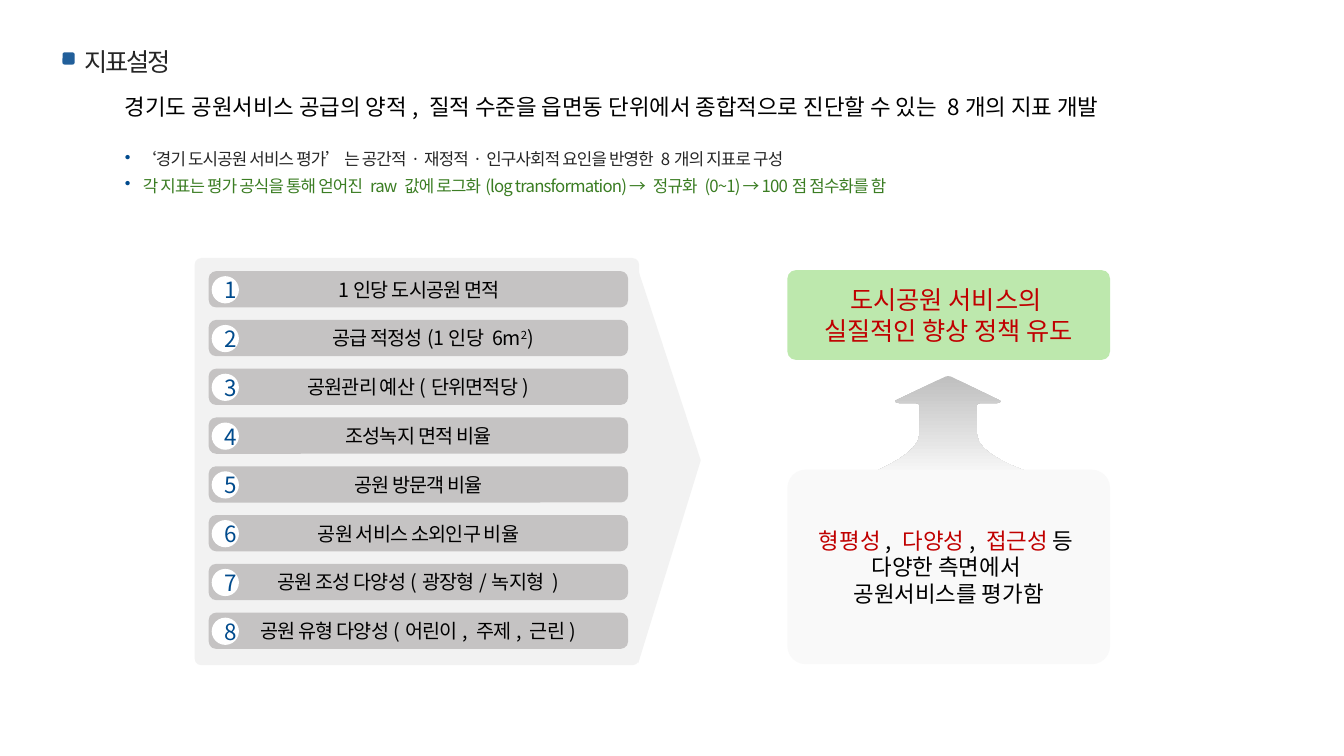
import pptx
import pptx.util
import pptx.dml.color
import pptx.enum.shapes
import pptx.enum.text
import pptx.oxml.ns
from lxml import etree

Inches = pptx.util.Inches
SHAPES = pptx.enum.shapes.MSO_SHAPE
ALIGN = pptx.enum.text.PP_ALIGN
ANCHOR = pptx.enum.text.MSO_ANCHOR
FONT = "Noto Sans CJK KR"
COLORS = {
    "black": "000000", "ink": "262626", "navy": "004A8D", "digit": "004B8D",
    "marker": "215F9A", "panel": "F2F2F2", "row": "C5C3C3", "white": "FFFFFF",
    "arrow": "BFBFBF", "basis": "F9F9F9", "goal": "8ED973",
    "red": "C00000", "green": "3B7D23",
}
INDICATORS = [
    [("1인당 도시공원 면적", {})],
    [("공급 적정성(1인당 6m", {}), ("2", {"baseline": "30000"}), (")", {})],
    [("공원관리 예산(단위면적당)", {})],
    [("조성녹지 면적 비율", {})],
    [("공원 방문객 비율", {})],
    [("공원 서비스 소외인구 비율", {})],
    [("공원 조성 다양성(광장형/녹지형 )", {})],
    [("공원 유형 다양성(어린이, 주제, 근린)", {})],
]
LABEL_SPANS = {0: (2.68, 2.95), 1: (2.51, 3.57)}
ROW_TOP, ROW_PITCH = 2.69, 0.484
ARROW_START = (9.69, 4.31)
ARROW_STEPS = [
    [(9.69, 4.02)],
    [(9.69, 4.01), (9.7, 4), (9.73, 4)],
    [(9.87, 4)],
    [(9.92, 4), (9.94, 3.98), (9.91, 3.97)],
    [(9.44, 3.74)],
    [(9.42, 3.73), (9.39, 3.73), (9.37, 3.74)],
    [(8.89, 3.97)],
    [(8.86, 3.98), (8.89, 4), (8.94, 4)],
    [(9.08, 4)],
    [(9.1, 4), (9.12, 4.01), (9.12, 4.02)],
    [(9.12, 4.31)],
    [(9.12, 4.53), (8.55, 4.73), (8.55, 4.73)],
    [(10.35, 4.73)],
    [(10.35, 4.73), (9.69, 4.55), (9.69, 4.31)],
]


def color(name):
    return pptx.dml.color.RGBColor.from_string(COLORS[name])


def apply(target, values):
    for name, value in values.items():
        setattr(target, name, value)


def place(item, left, top, width, height):
    sides = {"left": left, "top": top, "width": width, "height": height}
    apply(item, {name: Inches(value) for name, value in sides.items()})


def add_bullet(para):
    props = para._p.get_or_add_pPr()
    props.set("marL", str(Inches(0.15)))
    props.set("indent", str(Inches(-0.15)))
    tint = etree.SubElement(props, pptx.oxml.ns.qn("a:buClr"))
    etree.SubElement(tint, pptx.oxml.ns.qn("a:srgbClr"), val=COLORS["navy"])
    etree.SubElement(props, pptx.oxml.ns.qn("a:buChar"), char="•")


def add_span(para, text, size, tint, extras):
    span = para.add_run()
    span.text = text
    apply(span.font, {"size": pptx.util.Pt(size), "name": FONT, "bold": False})
    span.font.color.rgb = color(tint)
    props = span._r.get_or_add_rPr()
    for name, value in extras.items():
        props.set(name, value)
    etree.SubElement(props, pptx.oxml.ns.qn("a:ea"), typeface=FONT)


def write(item, lines, size, tint, align=ALIGN.LEFT, anchor=ANCHOR.TOP,
          spacing=None, tracking=None, bullets=False):
    frame = item.text_frame
    apply(frame, {"word_wrap": True, "vertical_anchor": anchor,
                  "auto_size": pptx.enum.text.MSO_AUTO_SIZE.NONE})
    for number, line in enumerate(lines):
        para = frame.add_paragraph() if number else frame.paragraphs[0]
        apply(para, {"alignment": align, "line_spacing": spacing})
        if bullets:
            add_bullet(para)
        for text, changes in line:
            extras = {"spc": tracking} if tracking else {}
            extras.update(changes)
            add_span(para, text, size, extras.pop("tint", tint), extras)


def add_text(page, bounds, lines, size, tint, **layout):
    box = page.shapes.add_textbox(*map(Inches, bounds))
    write(box, lines, size, tint, **layout)


def add_block(page, kind, bounds, fill, corner=None, turn=0):
    block = page.shapes.add_shape(kind, *map(Inches, bounds))
    block.shadow.inherit = False
    block.fill.solid()
    block.fill.fore_color.rgb = color(fill)
    block.line.fill.background()
    block.rotation = turn
    if corner is not None:
        block.adjustments[0] = corner
    return block


def curve(start, first, second, end, pieces=10):
    for step in range(1, pieces + 1):
        t = step / pieces
        weights = ((1 - t) ** 3, 3 * t * (1 - t) ** 2, 3 * t * t * (1 - t), t ** 3)
        yield tuple(sum(weight * point[axis] for weight, point in
                        zip(weights, (start, first, second, end))) for axis in (0, 1))


def add_arrow(page):
    points = [ARROW_START]
    for step in ARROW_STEPS:
        points.extend(step if len(step) == 1 else list(curve(points[-1], *step)))
    corners = [tuple(map(Inches, point)) for point in points]
    builder = page.shapes.build_freeform(*corners[0], scale=1.0)
    builder.add_line_segments(corners[1:], close=True)
    arrow = builder.convert_to_shape()
    arrow.shadow.inherit = False
    arrow.line.fill.background()
    arrow.fill.gradient()
    arrow.fill.gradient_angle = 270
    for stop, tint in zip(arrow.fill.gradient_stops, ("arrow", "basis")):
        stop.color.rgb = color(tint)


def add_header(page):
    title = page.shapes.title
    place(title, 0.74, 0.26, 1.1, 0.5)
    write(title, [[("지표설정", {})]], 18, "ink", spacing=1.5, tracking="-150")
    add_block(page, SHAPES.ROUNDED_RECTANGLE, (0.62, 0.52, 0.12, 0.12), "marker")
    add_text(page, (1.14, 0.88, 11.09, 0.37), [[(
        "경기도 공원서비스 공급의 양적, 질적 수준을 읍면동 단위에서 종합적으로 진단할 수 있는 8개의 지표 개발",
        {})]], 16, "black")
    add_text(page, (1.14, 1.37, 11.37, 0.6), [
        [("‘경기 도시공원 서비스 평가’ 는 공간적·재정적·인구사회적 요인을 반영한 8개의 지표로 구성", {})],
        [(" 각 지표는 평가 공식을 통해 얻어진 raw 값에 로그화(log transformation) → 정규화 (0~1) → 100점 점수화를 함",
          {"tint": "green"})],
    ], 12, "ink", spacing=1.3, tracking="-60", bullets=True)


def add_indicator(page, index, label):
    top = ROW_TOP + index * ROW_PITCH
    add_block(page, SHAPES.ROUNDED_RECTANGLE, (2.07, top, 4.16, 0.36), "row", 0.205)
    left, width = LABEL_SPANS.get(index, (2.09, 4.12))
    add_text(page, (left, top + 0.01, width, 0.34), [label], 14, "black",
             align=ALIGN.CENTER, anchor=ANCHOR.MIDDLE, tracking="-60")
    badge = add_block(page, SHAPES.OVAL, (2.1, top + 0.05, 0.27, 0.27), "white")
    write(badge, [[(str(index + 1), {})]], 16, "digit",
          align=ALIGN.CENTER, anchor=ANCHOR.MIDDLE)


def add_outcome(page):
    centred = {"align": ALIGN.CENTER, "anchor": ANCHOR.MIDDLE}
    add_arrow(page)
    basis = add_block(page, SHAPES.ROUNDED_RECTANGLE, (7.81, 4.66, 3.2, 1.93), "basis", 0.094)
    red = {"tint": "red"}
    write(basis, [
        [("형평성", red), (", ", {}), ("다양성", red), (", ", {}), ("접근성 ", red), ("등 ", {})],
        [("다양한 측면에서 ", {})],
        [("공원서비스를 평가함", {})],
    ], 16, "black", **centred)
    goal = add_block(page, SHAPES.ROUNDED_RECTANGLE, (7.81, 2.68, 3.2, 0.89), "goal", 0.094)
    tint = goal.fill._xPr.find(".//" + pptx.oxml.ns.qn("a:srgbClr"))
    etree.SubElement(tint, pptx.oxml.ns.qn("a:alpha"), val="58000")
    write(goal, [[("도시공원 서비스의 ", {})], [("실질적인 향상 정책 유도", {})]],
          18, "red", **centred)


def main():
    deck = pptx.Presentation()
    apply(deck, {"slide_width": Inches(13.33), "slide_height": Inches(7.5)})
    page = deck.slides.add_slide(deck.slide_layouts[5])
    add_header(page)
    add_block(page, SHAPES.ROUNDED_RECTANGLE, (1.93, 2.56, 4.41, 4.04), "panel", 0.017)
    for index, label in enumerate(INDICATORS):
        add_indicator(page, index, label)
    add_outcome(page)
    add_block(page, SHAPES.ISOSCELES_TRIANGLE, (4.69, 4.32, 3.9, 0.62), "panel", 0.484, 90)
    deck.save("out.pptx")


if __name__ == "__main__":
    main()
